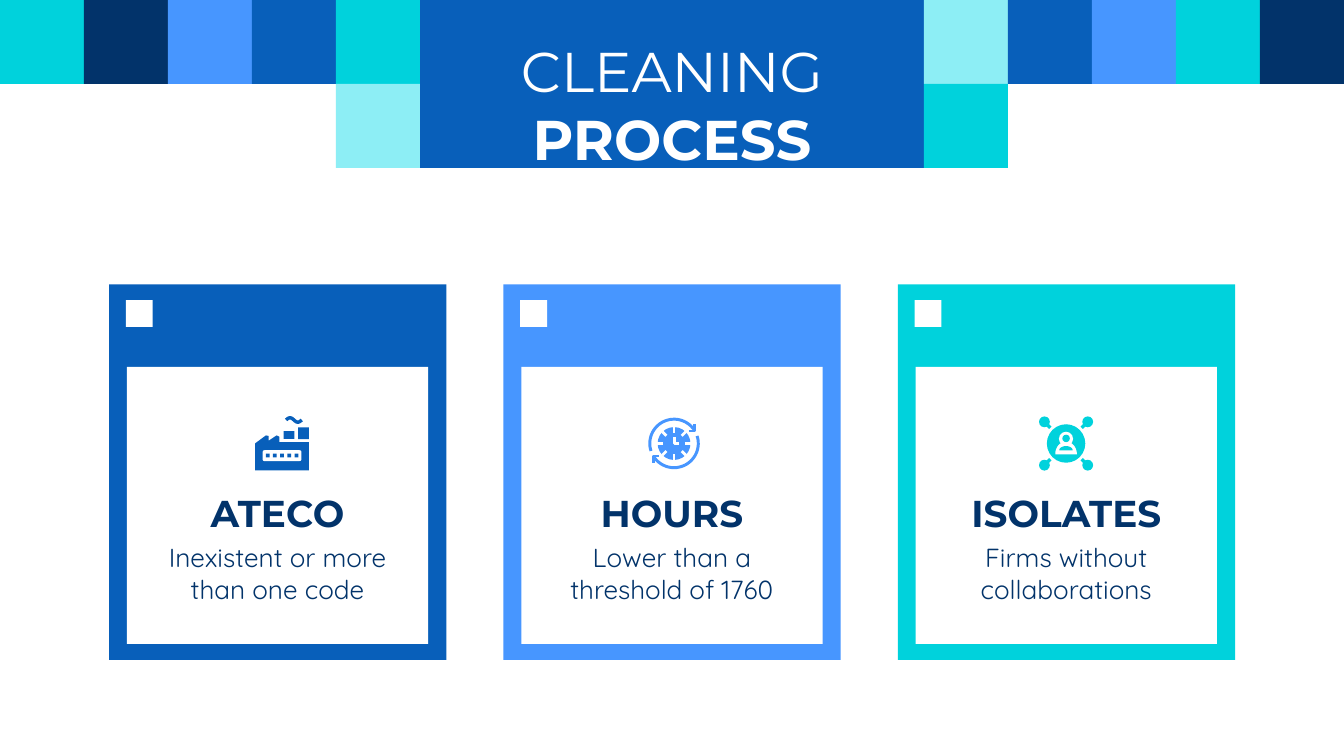
from itertools import product
from math import cos, pi, radians, sin

from lxml.etree import SubElement
from pptx import Presentation
from pptx.dml.color import RGBColor
from pptx.enum.shapes import MSO_CONNECTOR, MSO_SHAPE
from pptx.enum.text import MSO_ANCHOR, MSO_AUTO_SIZE, PP_ALIGN
from pptx.oxml.ns import qn
from pptx.util import Pt

WHITE = RGBColor(0xFF, 0xFF, 0xFF)
NAVY = RGBColor(0x02, 0x33, 0x6A)
BLUE = RGBColor(0x08, 0x5F, 0xBA)
SKY = RGBColor(0x47, 0x96, 0xFF)
TEAL = RGBColor(0x00, 0xD2, 0xDC)
AQUA = RGBColor(0x8D, 0xEE, 0xF5)

TILE = 45
CARD_LEFT, CARD_TOP, CARD_PITCH = 58.4, 152.3, 211.3
ICON_LEFT, ICON_TOP, ICON_PITCH = 151.1, 237.6, 210


def paint(shape, fill=None, line=None, width=1):
    """Give a shape a plain fill and line, without shadow."""
    shape.shadow.inherit = False
    if fill is None:
        shape.fill.background()
    else:
        shape.fill.solid()
        shape.fill.fore_color.rgb = fill
    if line is None:
        shape.line.fill.background()
    else:
        shape.line.color.rgb = line
        shape.line.width = Pt(width)
    return shape


def add_block(page, left, top, width, height, fill, kind=MSO_SHAPE.RECTANGLE):
    shape = page.shapes.add_shape(kind, Pt(left), Pt(top), Pt(width), Pt(height))
    return paint(shape, fill)


def add_disc(page, x, y, radius, fill):
    add_block(page, x - radius, y - radius, 2 * radius, 2 * radius, fill, MSO_SHAPE.OVAL)


def add_outline(page, x, y, points, fill=None, line=None, width=1):
    """Draw points relative to (x, y): closed if filled, open if only a line."""
    corners = [(Pt(x + across), Pt(y + down)) for across, down in points]
    builder = page.shapes.build_freeform(*corners[0])
    builder.add_line_segments(corners[1:], close=fill is not None)
    paint(builder.convert_to_shape(), fill, line, width)


def add_line(page, x1, y1, x2, y2, colour, width):
    line = page.shapes.add_connector(
        MSO_CONNECTOR.STRAIGHT, Pt(x1), Pt(y1), Pt(x2), Pt(y2))
    line.line.color.rgb = colour
    line.line.width = Pt(width)
    SubElement(line._element.spPr, qn("a:effectLst"))


def arc(start, end, across, down, steps=32):
    """Points of an elliptical arc, in degrees clockwise from the right."""
    angles = [radians(start + (end - start) * i / steps) for i in range(steps + 1)]
    return [(across * cos(angle), down * sin(angle)) for angle in angles]


def write(box, spans, font, size, colour, insets=(7.2, 7.2, 7.2, 7.2),
          anchor=MSO_ANCHOR.TOP):
    """Fill a box with one centred paragraph of (text, bold) spans."""
    frame = box.text_frame
    frame.word_wrap = True
    frame.auto_size = MSO_AUTO_SIZE.NONE
    frame.vertical_anchor = anchor
    frame.margin_left, frame.margin_top, frame.margin_right, frame.margin_bottom = map(Pt, insets)
    para = frame.paragraphs[0]
    para.alignment = PP_ALIGN.CENTER
    para.line_spacing = 1.0
    for text, bold in spans:
        span = para.add_run()
        span.text = text
        span.font.name, span.font.size, span.font.bold = font, Pt(size), bold
        span.font.color.rgb = colour


def add_text(page, left, top, width, height, text, bold=False, **format):
    box = page.shapes.add_textbox(Pt(left), Pt(top), Pt(width), Pt(height))
    write(box, [(text, bold)], **format)


def add_header(page):
    # Tiles left and right of the title
    left = [TEAL, NAVY, SKY, BLUE, TEAL]
    right = [AQUA, BLUE, SKY, TEAL, NAVY]
    for i, (first, second) in enumerate(zip(left, right)):
        add_block(page, i * TILE, 0, TILE, TILE, first)
        add_block(page, (11 + i) * TILE, 0, TILE, TILE, second)
    add_block(page, 4 * TILE, TILE, TILE, TILE, AQUA)
    add_block(page, 11 * TILE, TILE, TILE, TILE, TEAL)
    # Title
    title = page.shapes.title
    title.left, title.top, title.width, title.height = map(
        Pt, (5 * TILE, 0, 6 * TILE, 2 * TILE))
    title.fill.solid()
    title.fill.fore_color.rgb = BLUE
    write(title, [("CLEANING", False), (" PROCESS", True)], "Montserrat", 30,
          WHITE, (7.2, 21.6, 7.2, 0), MSO_ANCHOR.MIDDLE)


def add_factory(page, x, y, colour):
    # Hall with saw-tooth roof
    add_outline(page, x, y, [
        (-14.4, 0), (-8.6, -4.3), (-7.2, -4), (-7.2, -1.4), (-2.9, -4.3),
        (-1.4, -3.6), (-1.4, -0.7), (14.4, -0.7), (14.4, 14.4), (-14.4, 14.4)], fill=colour)
    # Window band
    add_block(page, x - 10.4, y + 3.6, 20.8, 5.8, WHITE, MSO_SHAPE.ROUNDED_RECTANGLE)
    for i in range(5):
        add_block(page, x - 8.7 + 3.85 * i, y + 5.4, 2, 2, colour)
    # Chimneys and smoke
    add_block(page, x + 8.6, y - 8.6, 5.8, 6.2, colour)
    add_block(page, x + 0.8, y - 6.6, 5.8, 4.2, colour)
    wave = [(2.2 + 0.7 * i, -12.6 - 1.2 * sin(2 * pi * i / 12)) for i in range(13)]
    add_outline(page, x, y, wave, line=colour, width=1.8)


def add_clock(page, x, y, colour):
    # Two turning arrows, each the other's half turn
    for turn in (1, -1):
        for points in (arc(-18, 144, 13, 13), [(-7.9, 6.7), (-10.8, 6.7), (-10.8, 10.4)]):
            add_outline(page, x, y, [(turn * a, turn * d) for a, d in points],
                        line=colour, width=1.6)
    # Notched face and hands
    add_disc(page, x, y, 8.8, colour)
    for angle in range(0, 360, 45):
        across, down = cos(radians(angle)), sin(radians(angle))
        add_line(page, x + 5.8 * across, y + 5.8 * down, x + 9 * across, y + 9 * down, WHITE, 1.5)
    add_outline(page, x, y, [(0, -3.4), (0, 0), (2.4, 0)], line=WHITE, width=1.6)


def add_person(page, x, y, colour):
    # Four loose nodes
    for across, down in product((-1, 1), repeat=2):
        add_disc(page, x + 11.6 * across, y + 11.6 * down, 2.9, colour)
        add_line(page, x + 11.6 * across, y + 11.6 * down,
                 x + 8.4 * across, y + 8.4 * down, colour, 1.8)
    # Disc with a figure drawn as a white rim
    add_disc(page, x, y, 10.3, colour)
    add_outline(page, x, y + 5.8, arc(180, 360, 5.8, 6.8), fill=WHITE)
    add_disc(page, x, y - 2.5, 3.8, WHITE)
    add_outline(page, x, y + 3.7, arc(180, 360, 3.6, 2.3), fill=colour)
    add_disc(page, x, y - 2.7, 2, colour)


def add_card(page, index, colour, heading, detail, add_icon):
    left = CARD_LEFT + index * CARD_PITCH
    add_block(page, left, CARD_TOP, 180.7, 201.3, colour)
    add_block(page, left + 9.6, CARD_TOP + 44.3, 161.4, 148.4, WHITE)
    add_block(page, left + 9, CARD_TOP + 8.5, 14.4, 14.4, WHITE)
    add_icon(page, ICON_LEFT + index * ICON_PITCH, ICON_TOP, colour)
    add_text(page, left + 20.1, 260.8, 140.4, 27.4, heading, bold=True,
             font="Montserrat", size=20, colour=NAVY, anchor=MSO_ANCHOR.MIDDLE)
    add_text(page, left + 15.8, 283, 149, 50.4, detail,
             font="Quicksand", size=14, colour=NAVY)


def main():
    deck = Presentation()
    deck.slide_width, deck.slide_height = Pt(720), Pt(405)
    page = deck.slides.add_slide(deck.slide_layouts[5])
    add_header(page)
    cards = [
        (BLUE, "ATECO", "Inexistent or more than one code", add_factory),
        (SKY, "HOURS", "Lower than a threshold of 1760", add_clock),
        (TEAL, "ISOLATES", "Firms without collaborations", add_person),
    ]
    for index, card in enumerate(cards):
        add_card(page, index, *card)
    deck.save("out.pptx")


if __name__ == "__main__":
    main()
